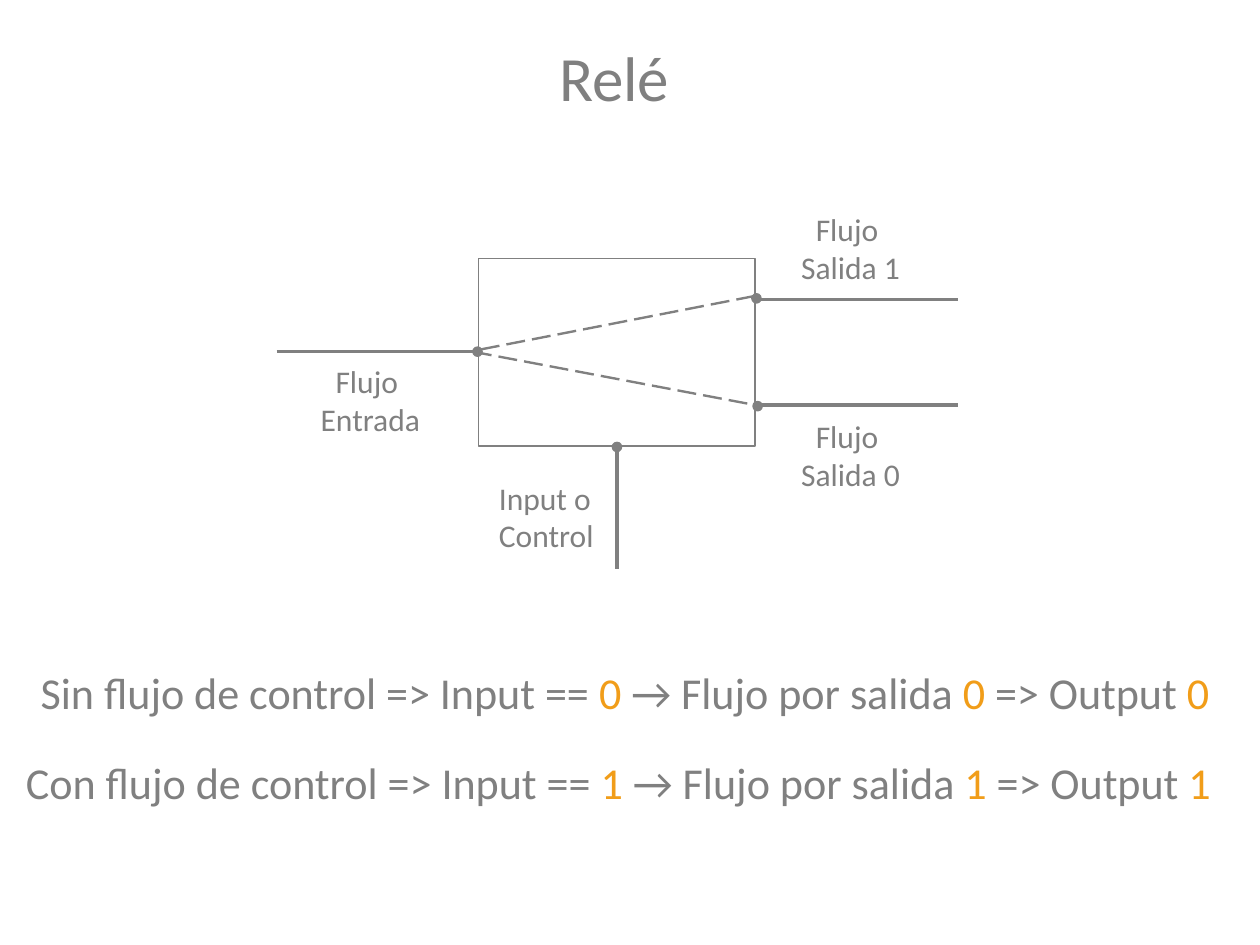
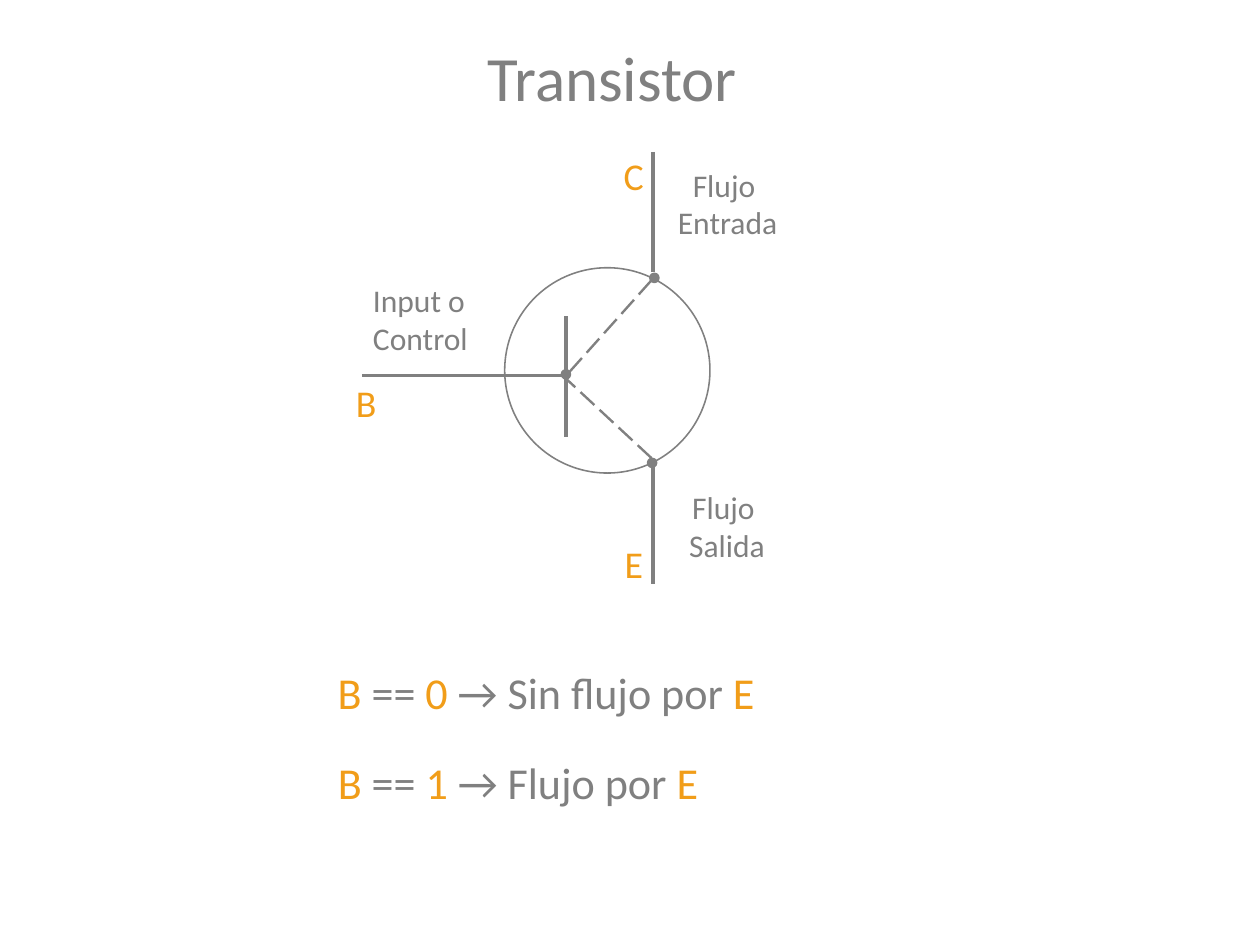
import pptx
import pptx.util
import pptx.dml.color
import pptx.enum.dml
import pptx.enum.shapes
import pptx.enum.text
import lxml.etree

Inches, Pt = pptx.util.Inches, pptx.util.Pt
SHAPE = pptx.enum.shapes.MSO_SHAPE
ALIGN = pptx.enum.text.PP_ALIGN
COLORS = {"gray": "808080", "accent": "F19D19"}
RGB = {name: pptx.dml.color.RGBColor.from_string(c) for name, c in COLORS.items()}
FONT = "Calibri"
DOT = 0.08
WIRE, DASHED = 2.25, 1.5


def add_text(slide, box, lines, size, align=ALIGN.LEFT):
    """Write one paragraph per line; every second part between bars is accented."""
    tb = slide.shapes.add_textbox(*[Inches(v) for v in box])
    tf = tb.text_frame
    tf.word_wrap = False
    tf.auto_size = pptx.enum.text.MSO_AUTO_SIZE.SHAPE_TO_FIT_TEXT
    for i, line in enumerate(lines):
        p = tf.paragraphs[0] if i == 0 else tf.add_paragraph()
        p.alignment = align
        for j, part in enumerate(line.split("|")):
            if part:
                r = p.add_run()
                r.text = part
                r.font.name = FONT
                r.font.size = Pt(size)
                r.font.color.rgb = RGB["accent" if j % 2 else "gray"]
    return tf


def add_outline(slide, kind, box, filled=False):
    sp = slide.shapes.add_shape(kind, *[Inches(v) for v in box])
    sp.shadow.inherit = False
    if filled:
        sp.fill.solid()
        sp.fill.fore_color.rgb = RGB["gray"]
    else:
        sp.fill.background()
    sp.line.color.rgb = RGB["gray"]
    sp.line.width = Pt(1)


RELAY = {
    "title": ("Relé", 4.93, 1.03),
    "body": (SHAPE.RECTANGLE, (4.22, 2.28, 2.44, 1.65)),
    "dots": [(4.17, 3.06), (6.64, 3.54), (6.63, 2.59), (5.4, 3.9)],
    "lines": [
        (4.17, 3.1, 6.71, 3.58, DASHED),
        (4.24, 3.08, 6.7, 2.6, DASHED),
        (2.44, 3.1, 4.21, 3.1, WIRE),
        (6.68, 2.64, 8.45, 2.64, WIRE),
        (6.68, 3.57, 8.45, 3.57, WIRE),
        (5.44, 3.96, 5.44, 5.02, WIRE),
    ],
    "flows": [
        (2.72, 3.14, 1.09, "Entrada"),
        (6.96, 1.8, 1.08, "Salida 1"),
        (6.96, 3.63, 1.08, "Salida 0"),
    ],
    "control": (4.3, 4.17),
    "terminals": [],
    "rules": [
        (0.26, 10.61, "Sin flujo de control => Input == |0| → Flujo por salida |0 |=> Output |0"),
        (0.13, 10.79, "Con flujo de control => Input == |1| → Flujo por salida |1| => Output| 1"),
    ],
}
TRANSISTOR = {
    "title": ("Transistor", 4.3, 2.36),
    "body": (SHAPE.OVAL, (4.45, 2.36, 1.81, 1.81)),
    "dots": [(4.95, 3.26), (5.71, 4.04), (5.73, 2.41)],
    "lines": [
        (4.95, 3.3, 5.79, 4.08, DASHED),
        (5.02, 3.28, 5.79, 2.42, DASHED),
        (3.19, 3.31, 4.96, 3.31, WIRE),
        (5.76, 4.09, 5.76, 5.15, WIRE),
        (5.76, 1.34, 5.76, 2.4, WIRE),
        (4.99, 2.79, 4.99, 3.85, WIRE),
    ],
    "flows": [(5.87, 1.41, 1.09, "Entrada"), (5.97, 4.25, 0.88, "Salida")],
    "control": (3.19, 2.43),
    "terminals": [(3.04, 3.3, "B"), (5.4, 1.3, "C"), (5.41, 4.72, "E")],
    "rules": [
        (2.88, 3.93, "|B| == |0| → Sin flujo por |E"),
        (2.88, 3.42, "|B| == |1| → Flujo por |E"),
    ],
}

prs = pptx.Presentation()
prs.slide_width, prs.slide_height = Inches(11.11), Inches(8.33)

for content in (RELAY, TRANSISTOR):
    s = prs.slides.add_slide(prs.slide_layouts[6])

    title, left, width = content["title"]
    tf = add_text(s, (left, 0.39, width, 0.74), [title], 40)
    tf.auto_size = pptx.enum.text.MSO_AUTO_SIZE.NONE
    tf.word_wrap = True
    tf.margin_left = tf.margin_top = tf.margin_right = tf.margin_bottom = 0
    tf.paragraphs[0].line_spacing = 0.95

    add_outline(s, *content["body"])
    for x, y in content["dots"]:
        add_outline(s, SHAPE.FLOWCHART_CONNECTOR, (x, y, DOT, DOT), filled=True)

    for *ends, weight in content["lines"]:
        cn = s.shapes.add_connector(
            pptx.enum.shapes.MSO_CONNECTOR.STRAIGHT, *[Inches(v) for v in ends])
        cn.line.color.rgb = RGB["gray"]
        cn.line.width = Pt(weight)
        if weight == DASHED:
            cn.line.dash_style = pptx.enum.dml.MSO_LINE.LONG_DASH
        props = cn._element.spPr
        lxml.etree.SubElement(props, pptx.oxml.ns.qn("a:effectLst"))

    for x, y, width, name in content["flows"]:
        add_text(s, (x, y, width, 0.77), ["Flujo ", name], 20, ALIGN.CENTER)
    add_text(s, (*content["control"], 1.08, 0.77), ["Input o", "Control"], 20)
    for x, y, letter in content["terminals"]:
        add_text(s, (x, y, 0.38, 0.5), ["|" + letter], 24)
    for i, (x, width, rule) in enumerate(content["rules"]):
        add_text(s, (x, 5.82 + 0.79 * i, width, 0.57), [rule], 28)

prs.save("out.pptx")
